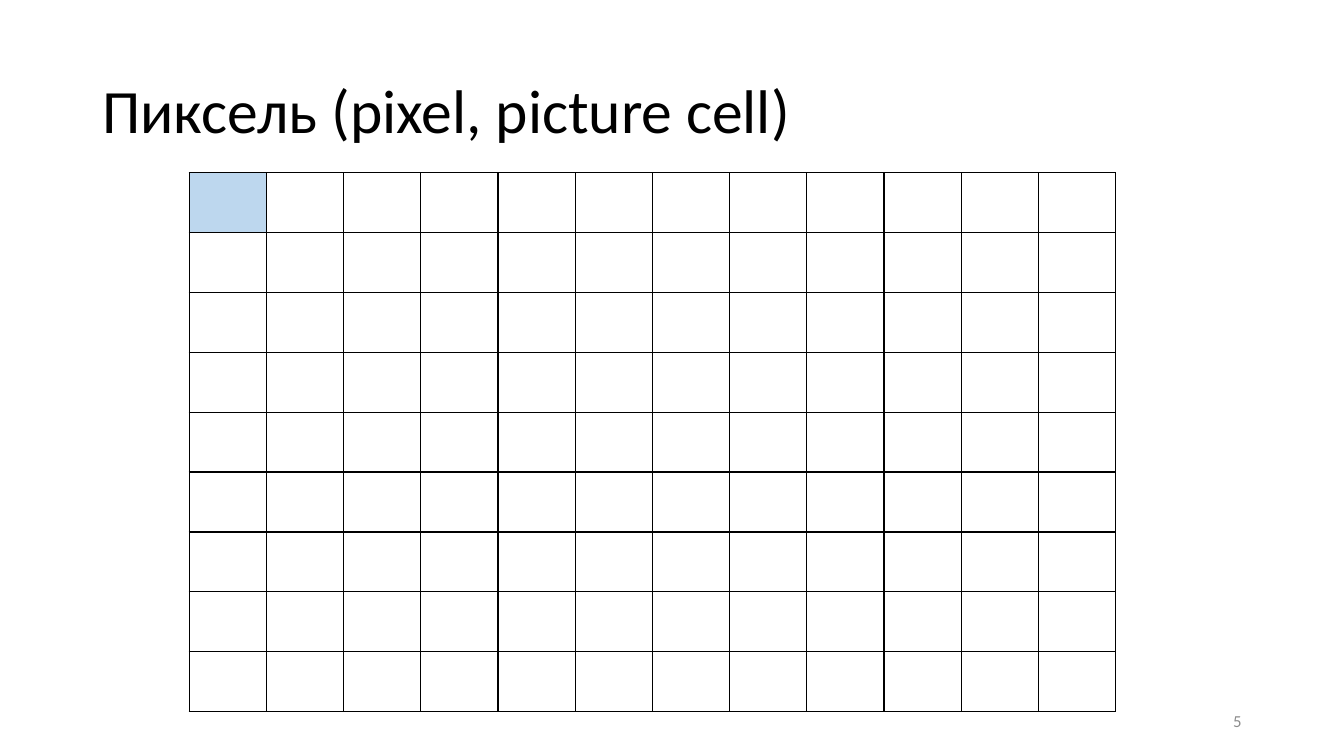
from lxml import etree
from pptx import Presentation
from pptx import util as u
from pptx.dml import color
from pptx.enum import text
from pptx.oxml import ns

ROWS, COLS = 9, 12
COL_WIDTH, ROW_HEIGHT = 55.14, 42.8


def rgb(value):
    """Turn a hex string into a colour."""
    return color.RGBColor.from_string(value)


def add_text(slide, box, words, size, hex_color, align, spacing=1.0):
    """Add one vertically centred line of text."""
    sp = slide.shapes.add_textbox(*(u.Pt(v) for v in box))
    tf = sp.text_frame
    tf.word_wrap = True
    tf.vertical_anchor = text.MSO_ANCHOR.MIDDLE
    tf.text = words
    p = tf.paragraphs[0]
    p.alignment = align
    p.line_spacing = spacing
    r = p.runs[0]
    r.font.name = "Calibri"
    r.font.size = u.Pt(size)
    r.font.color.rgb = rgb(hex_color)


def add_borders(cell, hex_color, width):
    """Draw a solid line on all four sides of a cell."""
    props = cell._tc.get_or_add_tcPr()
    for side in ("a:lnL", "a:lnR", "a:lnT", "a:lnB"):
        line = etree.SubElement(props, ns.qn(side), w=str(u.Pt(width)))
        fill = etree.SubElement(line, ns.qn("a:solidFill"))
        etree.SubElement(fill, ns.qn("a:srgbClr"), val=hex_color)


def add_pixel_grid(slide, left, top):
    """Add the grid of pixels with its first cell highlighted."""
    frame = slide.shapes.add_table(
        ROWS, COLS, u.Pt(left), u.Pt(top),
        u.Pt(COLS * COL_WIDTH), u.Pt(ROWS * ROW_HEIGHT))
    table = frame.table
    table.first_row = False
    table.horz_banding = False
    for column in table.columns:
        column.width = u.Pt(COL_WIDTH)
    for row in table.rows:
        row.height = u.Pt(ROW_HEIGHT)
    for cell in table.iter_cells():
        add_borders(cell, "000000", 1)
        cell.fill.background()
    pixel = table.cell(0, 0)
    pixel.fill.solid()
    pixel.fill.fore_color.rgb = rgb("BDD7EE")


def main():
    """Build the slide and save it."""
    prs = Presentation()
    prs.slide_width, prs.slide_height = u.Pt(960), u.Pt(540)
    slide = prs.slides.add_slide(prs.slide_layouts[6])
    add_text(slide, (66, 28.75, 828, 104.4), "Пиксель (pixel, picture cell)",
             44, "000000", text.PP_ALIGN.LEFT, 0.9)
    add_pixel_grid(slide, 135.2, 123.3)
    add_text(slide, (678, 500.5, 216, 28.75), "5",
             12, "8C8C8C", text.PP_ALIGN.RIGHT)
    prs.save("out.pptx")


if __name__ == "__main__":
    main()
